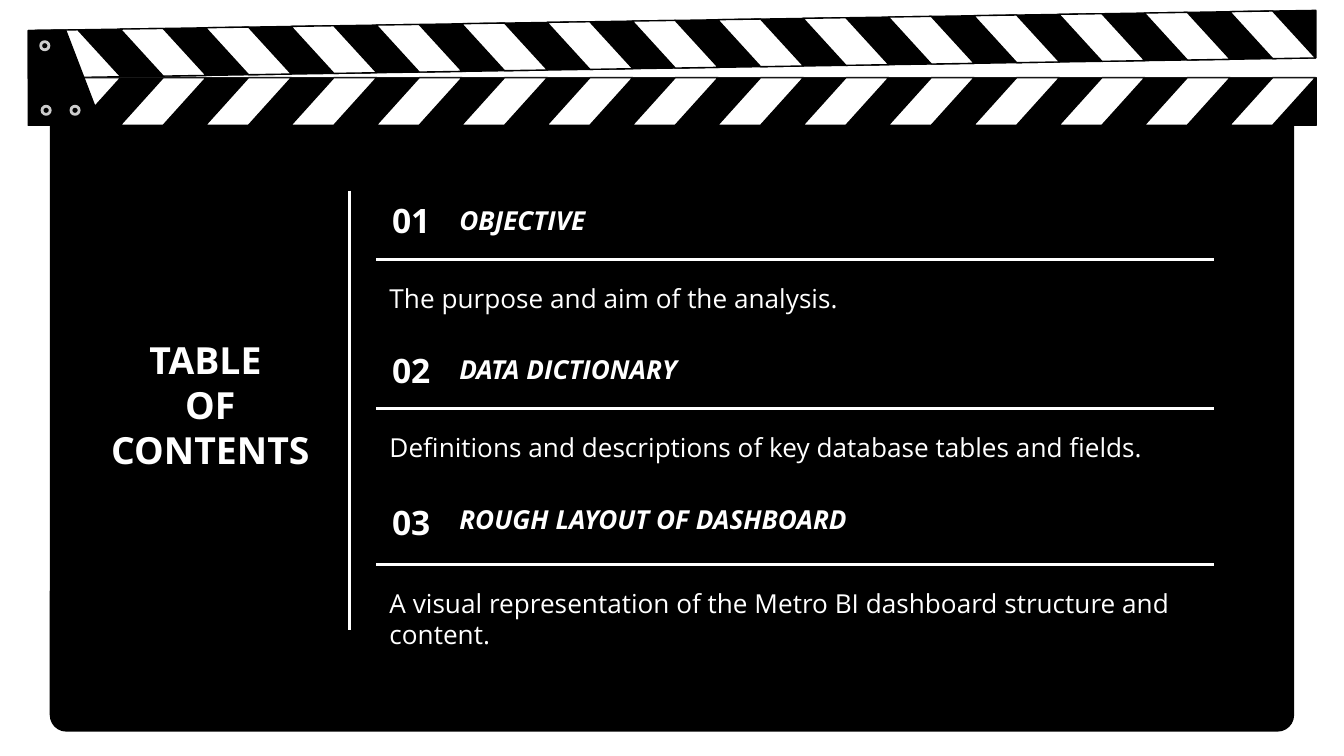
"""Build a clapperboard slide with a table of contents."""
import dataclasses

import pptx
import pptx.dml.color
import pptx.enum.shapes
import pptx.enum.text
import pptx.oxml.ns
import pptx.util
from lxml import etree

Pt = pptx.util.Pt
MSO_SHAPE = pptx.enum.shapes.MSO_SHAPE
ANCHOR = pptx.enum.text.MSO_ANCHOR
ALIGN = pptx.enum.text.PP_ALIGN


@dataclasses.dataclass(frozen=True)
class Theme:
    """Colours, font and type sizes."""
    black: str = "000000"
    white: str = "FFFFFF"
    hinge: str = "171717"
    rivet: str = "CCCCCC"
    font: str = "Open Sans"
    title: int = 20
    number: int = 18
    body: int = 14


class Board:
    """Draws elements on one slide in one style, in points."""

    def __init__(self, slide, theme):
        self.slide = slide
        self.theme = theme

    def paint(self, sp, fill, line, weight):
        sp.shadow.inherit = False
        sp.fill.solid()
        sp.fill.fore_color.rgb = pptx.dml.color.RGBColor.from_string(fill)
        if line:
            sp.line.color.rgb = pptx.dml.color.RGBColor.from_string(line)
            sp.line.width = Pt(weight)
        else:
            sp.line.fill.background()
        return sp

    def shape(self, kind, x, y, w, h, fill, line=None, weight=0.75):
        sp = self.slide.shapes.add_shape(kind, Pt(x), Pt(y), Pt(w), Pt(h))
        return self.paint(sp, fill, line, weight)

    def polygon(self, points, fill):
        pts = [(Pt(x), Pt(y)) for x, y in points]
        fb = self.slide.shapes.build_freeform(*pts[0])
        fb.add_line_segments(pts[1:], close=True)
        return self.paint(fb.convert_to_shape(), fill, self.theme.black, 0.75)

    def line(self, x1, y1, x2, y2, color, weight=1.5):
        cn = self.slide.shapes.add_connector(
            pptx.enum.shapes.MSO_CONNECTOR.STRAIGHT, Pt(x1), Pt(y1), Pt(x2), Pt(y2))
        cn.line.color.rgb = pptx.dml.color.RGBColor.from_string(color)
        cn.line.width = Pt(weight)
        etree.SubElement(cn.element.spPr, pptx.oxml.ns.qn("a:effectLst"))

    def fill_text(self, sp, lines, size, bold, italic, align, anchor):
        tf = sp.text_frame
        tf.word_wrap = True
        tf.auto_size = pptx.enum.text.MSO_AUTO_SIZE.NONE
        tf.vertical_anchor = anchor
        tf.margin_left = tf.margin_right = tf.margin_top = tf.margin_bottom = Pt(7.2)
        tf.text = "\n".join(lines)
        for p in tf.paragraphs:
            p.alignment = align
            p.font.name = self.theme.font
            p.font.size = Pt(size)
            p.font.bold = bold
            p.font.italic = italic
            p.font.color.rgb = pptx.dml.color.RGBColor.from_string(self.theme.white)

    def text(self, x, y, w, h, text, size, bold=False, italic=False,
             align=ALIGN.LEFT, anchor=ANCHOR.TOP):
        sp = self.slide.shapes.add_textbox(Pt(x), Pt(y), Pt(w), Pt(h))
        self.fill_text(sp, [text], size, bold, italic, align, anchor)

    def title(self, x, y, w, h, lines):
        sp = self.slide.shapes.title
        sp.left, sp.top, sp.width, sp.height = Pt(x), Pt(y), Pt(w), Pt(h)
        self.fill_text(sp, lines, self.theme.title, True, False, ALIGN.CENTER, ANCHOR.TOP)
        sp.element.getparent().append(sp.element)


LEFT, RIGHT = 15.1, 704.9
HINGE_Y, BAR_H = 41.6, 25.5
STRIPE_W, STRIPE_PITCH, STRIPES = 23, 45.72, 15


def arm_top(x):
    """Return the height of the raised arm's upper edge at x."""
    return 16.4 - 0.0157 * (x - LEFT)


def draw_clapper(board):
    """Draw the panel, both striped bars and the hinge."""
    th = board.theme
    panel = board.shape(MSO_SHAPE.ROUNDED_RECTANGLE, 26.7, 52, 666.6, 340, th.black)
    panel.adjustments[0] = 0.026

    low = HINGE_Y + BAR_H
    stripe_xs = [18.7 + i * STRIPE_PITCH for i in range(STRIPES)]
    board.polygon([(LEFT, HINGE_Y), (LEFT, low), (RIGHT, low), (RIGHT, HINGE_Y)], th.black)
    for x in stripe_xs:
        mid, end = x + STRIPE_W, x + 2 * STRIPE_W
        board.polygon([(mid, HINGE_Y), (x, low), (mid, low), (end, HINGE_Y)], th.white)

    board.polygon([(RIGHT, arm_top(RIGHT)), (LEFT, arm_top(LEFT)),
                   (LEFT, arm_top(LEFT) + BAR_H), (RIGHT, arm_top(RIGHT) + BAR_H)], th.black)
    for x in stripe_xs:
        mid, end = x + STRIPE_W, x + 2 * STRIPE_W
        board.polygon([(mid, arm_top(mid)), (x, arm_top(x)),
                       (mid, arm_top(mid) + BAR_H), (end, arm_top(end) + BAR_H)], th.white)

    board.line(LEFT, HINGE_Y, RIGHT, HINGE_Y, th.hinge, 0.48)
    board.polygon([(LEFT, 16.4), (LEFT, low), (54.7, low), (35.3, 16.4)], th.black)
    for x, y in [(21.8, 22.3), (22.5, 56.9), (38, 56.9)]:
        board.shape(MSO_SHAPE.OVAL, x, y, 4.4, 4.4, th.black, th.rivet, 1.5)


def draw_contents(board):
    """Draw the title, the divider and the numbered entries."""
    th = board.theme
    board.title(43.2, 173.5, 139, 85, ["TABLE ", "OF CONTENTS"])
    board.line(187.2, 102.2, 187.2, 337.7, th.white)
    entries = [
        ("OBJECTIVE", 158.4, 139, "The purpose and aim of the analysis."),
        ("DATA DICTIONARY", 158.4, 219,
         "Definitions and descriptions of key database tables and fields."),
        ("ROUGH LAYOUT OF DASHBOARD", 270, 302.4,
         "A visual representation of the Metro BI dashboard structure and content."),
    ]
    x, num_w, rule_w = 201.6, 37.4, 448.6
    for i, (heading, head_w, rule_y, body) in enumerate(entries):
        y = 102.2 + 80 * i
        h = rule_y - y - 5.2
        board.line(x, rule_y, x + rule_w, rule_y, th.white)
        board.text(x + num_w, y, head_w, h, heading, th.body, bold=True, italic=True)
        board.text(x, rule_y + 5, rule_w, 36, body, th.body)
        board.text(x, y, num_w, h, f"{i + 1:02}", th.number, bold=True,
                   align=ALIGN.CENTER, anchor=ANCHOR.MIDDLE)


prs = pptx.Presentation()
prs.slide_width, prs.slide_height = Pt(720), Pt(405)
board = Board(prs.slides.add_slide(prs.slide_layouts[5]), Theme())
draw_clapper(board)
draw_contents(board)
prs.save("out.pptx")
